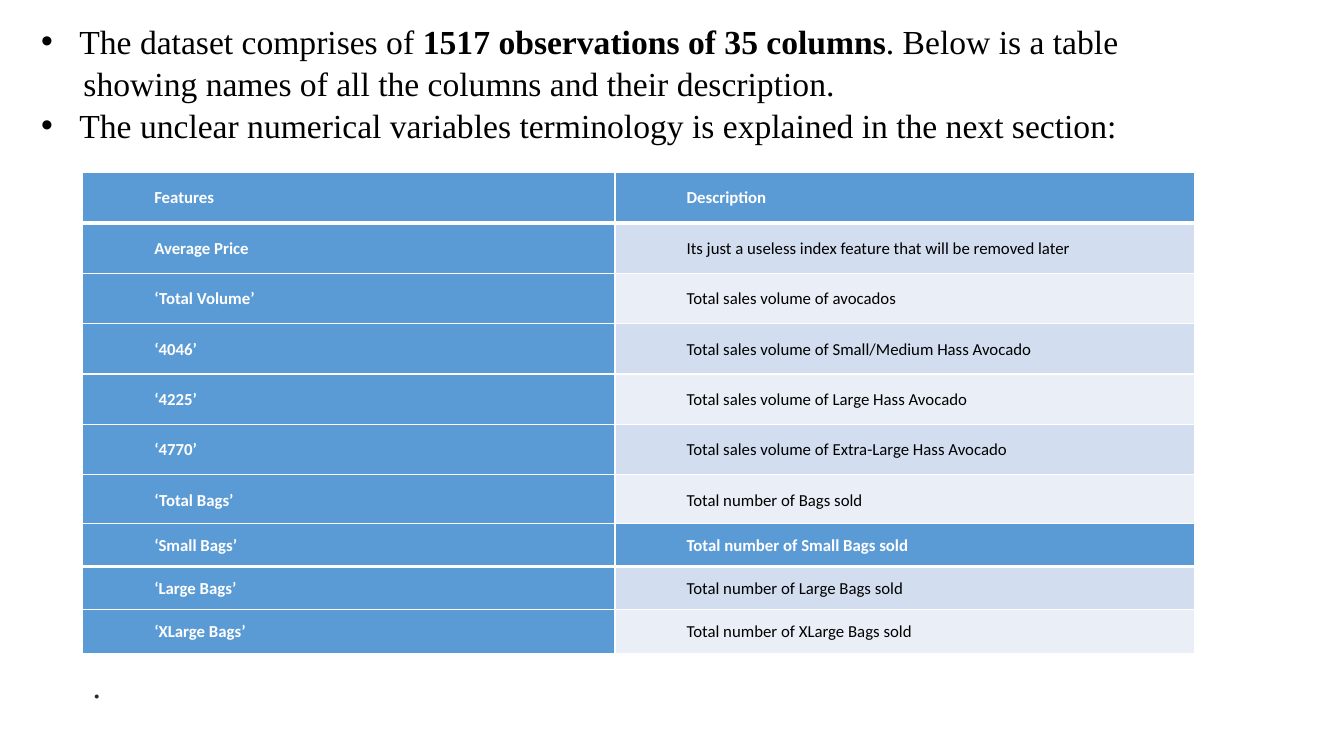
from lxml.etree import SubElement
from pptx import Presentation
from pptx.dml.color import RGBColor
from pptx.enum.text import MSO_ANCHOR, PP_ALIGN
from pptx.oxml.ns import qn
from pptx.util import Inches, Pt

COLORS = {"header": "5B9BD5", "odd": "D2DEEF", "even": "EAEFF7",
          "white": "FFFFFF", "black": "000000", "dot": "292929"}
INTRO = [
    (0.38, True, [("The dataset comprises of\u00a0", False),
                  ("1517 observations of 35 columns", True),
                  (". Below is a table ", False)]),
    (0.42, False, [("showing names of all the columns and their description.", False)]),
    (0.38, True, [("The unclear numerical variables terminology is explained "
                   "in the next section:", False)]),
]
TABLES = [
    (1.71, 0.5, [
        ("Features", "Description"),
        ("Average Price", "Its just a useless index feature that will be removed later"),
        ("‘Total Volume’", "Total sales volume of avocados"),
        ("‘4046’", "Total sales volume of Small/Medium Hass Avocado"),
        ("‘4225’", "Total sales volume of Large Hass Avocado"),
        ("‘4770’", "Total sales volume of Extra-Large Hass Avocado"),
        ("‘Total Bags’", "Total number of Bags sold"),
    ]),
    (5.19, 0.43, [
        ("‘Small Bags’", "Total number of Small Bags sold"),
        ("‘Large Bags’", "Total number of Large Bags sold"),
        ("‘XLarge Bags’", "Total number of XLarge Bags sold"),
    ]),
]
COLUMN_WIDTHS = [5.28, 5.75]


def style_font(paragraph, name, size, color):
    paragraph.font.name = name
    paragraph.font.size = Pt(size)
    paragraph.font.color.rgb = RGBColor.from_string(COLORS[color])


def add_borders(cell, row):
    properties = cell._tc.get_or_add_tcPr()
    widths = {"a:lnL": 1, "a:lnR": 1, "a:lnT": 3 if row == 1 else 1,
              "a:lnB": 3 if row == 0 else 1}
    for position, (tag, width) in enumerate(widths.items()):
        line = SubElement(properties, qn(tag), w=str(Pt(width)))
        fill = SubElement(line, qn("a:solidFill"))
        SubElement(fill, qn("a:srgbClr"), val=COLORS["white"])
        properties.insert(position, line)


presentation = Presentation()
presentation.slide_width = Inches(13.33)
presentation.slide_height = Inches(7.5)
slide = presentation.slides.add_slide(presentation.slide_layouts[6])

intro_box = slide.shapes.add_textbox(Inches(0.31), Inches(0.14), Inches(12.4), Inches(1.35))
intro_frame = intro_box.text_frame
intro_frame.word_wrap = True
for index, (margin, bulleted, runs) in enumerate(INTRO):
    paragraph = intro_frame.add_paragraph() if index else intro_frame.paragraphs[0]
    paragraph.alignment = PP_ALIGN.JUSTIFY
    paragraph.line_spacing = Pt(30)
    style_font(paragraph, "Times New Roman", 24, "black")
    properties = paragraph._p.get_or_add_pPr()
    properties.set("marL", str(Inches(margin)))
    if bulleted:
        properties.set("indent", str(-Inches(margin)))
        bullet_font = SubElement(properties, qn("a:buFont"), typeface="Arial")
        bullet = SubElement(properties, qn("a:buChar"), char="•")
        properties.find(qn("a:defRPr")).addprevious(bullet_font)
        bullet_font.addnext(bullet)
    for text, bold in runs:
        run = paragraph.add_run()
        run.text = text
        run.font.bold = bold

for top, row_height, rows in TABLES:
    table = slide.shapes.add_table(
        len(rows), 2, Inches(0.82), Inches(top),
        Inches(sum(COLUMN_WIDTHS)), Inches(row_height * len(rows))).table
    for column, width in zip(table.columns, COLUMN_WIDTHS):
        column.width = Inches(width)
    for row, texts in enumerate(rows):
        table.rows[row].height = Inches(row_height)
        for column, text in enumerate(texts):
            heading = row == 0 or column == 0
            cell = table.cell(row, column)
            cell.vertical_anchor = MSO_ANCHOR.MIDDLE
            cell.margin_left = cell.margin_right = Inches(0.04)
            cell.margin_top = cell.margin_bottom = Inches(0.04)
            cell.fill.solid()
            band = "header" if heading else "odd" if row % 2 else "even"
            cell.fill.fore_color.rgb = RGBColor.from_string(COLORS[band])
            add_borders(cell, row)
            paragraph = cell.text_frame.paragraphs[0]
            paragraph.text = text
            paragraph.line_spacing = 1.07
            paragraph.space_before = paragraph.space_after = Pt(12)
            paragraph._p.get_or_add_pPr().set("marL", str(Inches(0.67)))
            style_font(paragraph, "Calibri", 12, "white" if heading else "black")
            paragraph.font.bold = heading

dot_box = slide.shapes.add_textbox(Inches(0.82), Inches(6.74), Inches(12.25), Inches(0.35))
dot_box.text_frame.word_wrap = True
paragraph = dot_box.text_frame.paragraphs[0]
paragraph.text = "."
paragraph.line_spacing = Pt(14.6)
style_font(paragraph, "Times New Roman", 24, "dot")

presentation.save("out.pptx")
